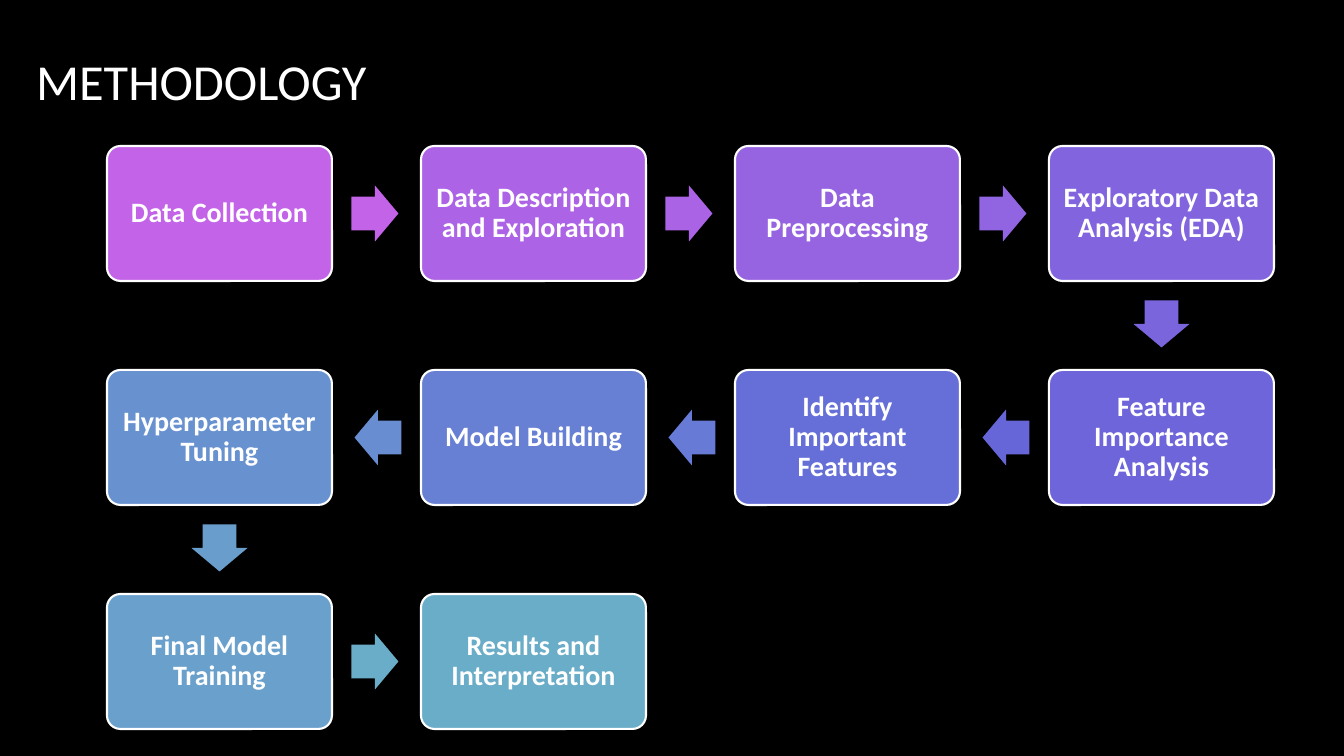
import pptx
import pptx.util
import pptx.dml.color
import pptx.enum.shapes
import pptx.enum.text

EMU_PER_PX = 914400 / 100.8
FONT = "Calibri"
COLORS = {"background": "000000", "text": "FFFFFF", "outline": "FFFFFF"}
COLUMNS = 4
STEP_SIZE = (225, 135)
STEP_PITCH = (314, 224)
ARROW_SIZE = (47, 56)
ARROW_REACH = 43
STEPS = [
    ("Data Collection", "C363E8", "C363E8"),
    ("Data Description and Exploration", "AC63E5", "A963E4"),
    ("Data Preprocessing", "9764E1", "9164E1"),
    ("Exploratory Data Analysis (EDA)", "8265DE", "7B65DD"),
    ("Feature Importance Analysis", "6F65DB", "6666D9"),
    ("Identify Important Features", "666FD7", "677AD5"),
    ("Model Building", "6780D3", "688DD1"),
    ("Hyperparameter Tuning", "6891D0", "699ECC"),
    ("Final Model Training", "69A0CC", "6AADC8"),
    ("Results and Interpretation", "6AADC8", None),
]


def px(length):
    """Turn pixels into EMU."""
    return pptx.util.Emu(round(length * EMU_PER_PX))


def rgb(code):
    """Turn a hex string into a colour."""
    return pptx.dml.color.RGBColor.from_string(code)


def set_font(paragraph, size, bold=False):
    """Format a paragraph in the slide's typeface."""
    paragraph.font.name = FONT
    paragraph.font.size = pptx.util.Pt(size)
    paragraph.font.bold = bold
    paragraph.font.color.rgb = rgb(COLORS["text"])


def add_filled(slide, kind, box, color):
    """Add a plain preset shape without outline or shadow."""
    shape = slide.shapes.add_shape(kind, *map(px, box))
    shape.shadow.inherit = False
    shape.fill.solid()
    shape.fill.fore_color.rgb = rgb(color)
    shape.line.fill.background()
    return shape


def add_heading(slide, text, box):
    """Place and format the title."""
    heading = slide.shapes.title
    heading.left, heading.top, heading.width, heading.height = map(px, box)
    frame = heading.text_frame
    frame.text = text
    frame.auto_size = pptx.enum.text.MSO_AUTO_SIZE.NONE
    frame.vertical_anchor = pptx.enum.text.MSO_ANCHOR.MIDDLE
    frame.paragraphs[0].alignment = pptx.enum.text.PP_ALIGN.LEFT
    set_font(frame.paragraphs[0], 36)


def add_step(slide, text, box, color):
    """Add one labelled step of the process."""
    step = add_filled(slide, pptx.enum.shapes.MSO_SHAPE.ROUNDED_RECTANGLE, box, color)
    step.adjustments[0] = 0.1
    step.line.color.rgb = rgb(COLORS["outline"])
    step.line.width = pptx.util.Pt(1.5)
    frame = step.text_frame
    frame.text = text
    frame.word_wrap = True
    frame.vertical_anchor = pptx.enum.text.MSO_ANCHOR.MIDDLE
    frame.margin_left = frame.margin_right = px(8)
    frame.margin_top = frame.margin_bottom = px(8)
    label = frame.paragraphs[0]
    label.alignment = pptx.enum.text.PP_ALIGN.CENTER
    label.line_spacing = 0.9
    set_font(label, 20, bold=True)


def add_arrow(slide, step_box, direction, color):
    """Add the arrow that leaves a step in the given direction."""
    left, top, width, height = step_box
    across, down = direction
    center_x = left + width / 2 + across * (width / 2 + ARROW_REACH)
    center_y = top + height / 2 + down * (height / 2 + ARROW_REACH)
    length, breadth = ARROW_SIZE
    box = (center_x - length / 2, center_y - breadth / 2, length, breadth)
    arrow = add_filled(slide, pptx.enum.shapes.MSO_SHAPE.RIGHT_ARROW, box, color)
    arrow.adjustments[0] = 0.6
    arrow.adjustments[1] = 0.5
    arrow.rotation = {(1, 0): 0, (0, 1): 90, (-1, 0): 180}[direction]


def grid_cell(index):
    """Give the column and row of a step on the winding route."""
    row, column = divmod(index, COLUMNS)
    return (COLUMNS - 1 - column if row % 2 else column), row


def add_process(slide, left, top):
    """Lay out the steps and arrows from the given corner."""
    for index, (text, step_color, arrow_color) in enumerate(STEPS):
        column, row = grid_cell(index)
        box = (left + column * STEP_PITCH[0], top + row * STEP_PITCH[1], *STEP_SIZE)
        add_step(slide, text, box, step_color)
        if arrow_color:
            next_column, next_row = grid_cell(index + 1)
            add_arrow(slide, box, (next_column - column, next_row - row), arrow_color)


def main():
    """Build and save the slide."""
    presentation = pptx.Presentation()
    presentation.slide_width, presentation.slide_height = px(1344), px(756)
    slide = presentation.slides.add_slide(presentation.slide_layouts[5])
    slide.background.fill.solid()
    slide.background.fill.fore_color.rgb = rgb(COLORS["background"])
    add_heading(slide, "METHODOLOGY", (26, 0, 1117, 160))
    add_process(slide, 107, 146)
    presentation.save("out.pptx")


if __name__ == "__main__":
    main()
